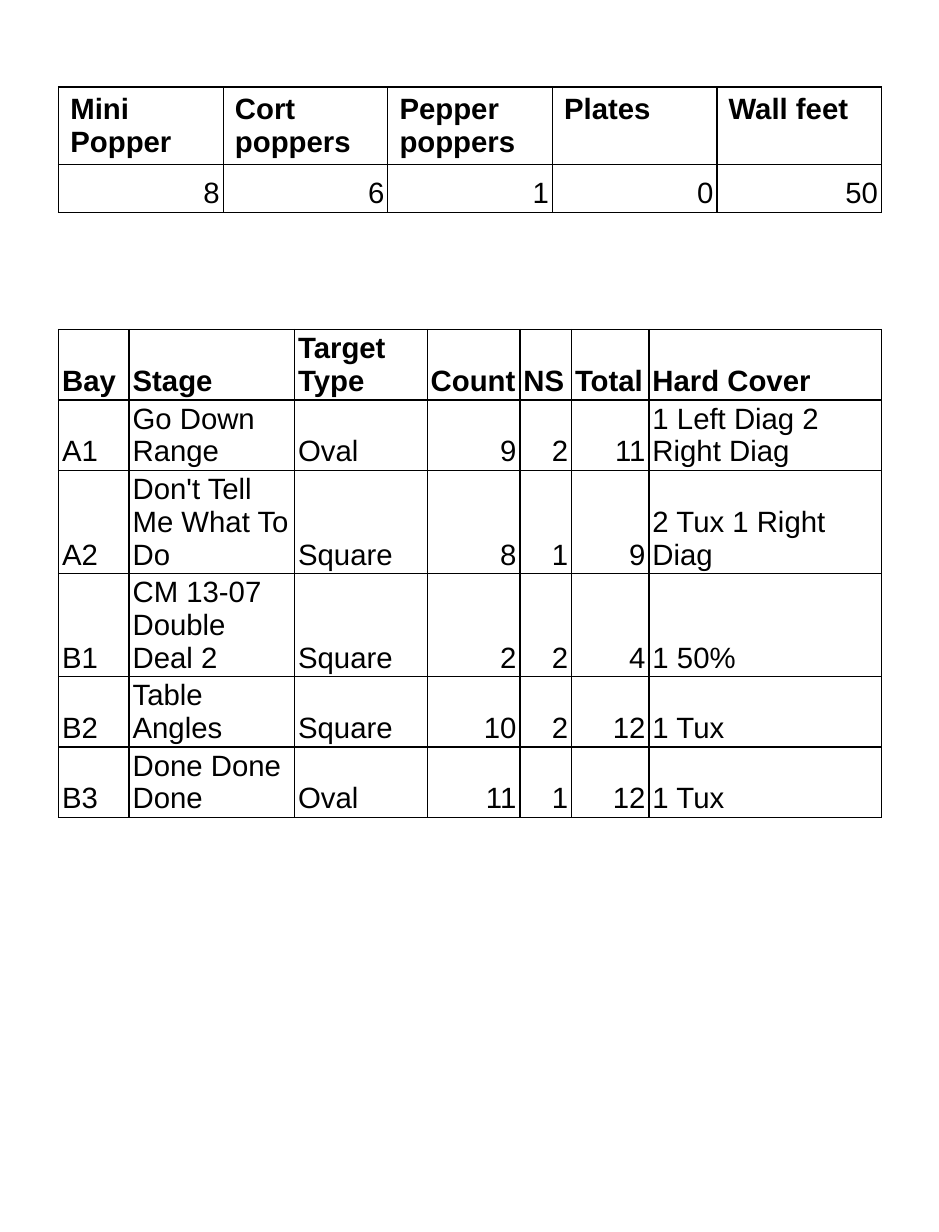
import pptx
import pptx.dml.color
import pptx.enum.text
import pptx.oxml
import pptx.oxml.ns
import pptx.util

COLORS = {"ink": "000000", "paper": "FFFFFF"}
ANCHOR = pptx.enum.text.MSO_ANCHOR
ALIGN = pptx.enum.text.PP_ALIGN
TIGHT = {
    "vertical_anchor": ANCHOR.BOTTOM,
    "margin_left": pptx.util.Inches(0.03),
    "margin_right": pptx.util.Inches(0.03),
    "margin_top": pptx.util.Inches(0.02),
    "margin_bottom": pptx.util.Inches(0.02),
}
ROOMY = {"vertical_anchor": ANCHOR.TOP}


def set_all(obj, values):
    for name, value in values.items():
        setattr(obj, name, value)


class Sheet:
    columns, rows = 80, 105
    font = {"name": "Arial", "size": pptx.util.Pt(18)}

    def __init__(self, prs):
        self.prs = prs
        self.s = prs.slides.add_slide(prs.slide_layouts[6])

    def x(self, n):
        return round(self.prs.slide_width * n / self.columns)

    def y(self, n):
        return round(self.prs.slide_height * n / self.rows)

    def color(self, name):
        return pptx.dml.color.RGBColor.from_string(COLORS[name])

    def borders(self, cell):
        tcPr = cell._tc.get_or_add_tcPr()
        for i, side in enumerate(("lnL", "lnR", "lnT", "lnB")):
            ln = pptx.oxml.parse_xml(
                f'<a:{side} {pptx.oxml.ns.nsdecls("a")} w="12700"><a:solidFill>'
                f'<a:srgbClr val="{COLORS["ink"]}"/></a:solidFill></a:{side}>'
            )
            tcPr.insert(i, ln)

    def cell(self, cell, text, header, layout):
        set_all(cell, layout)
        cell.fill.solid()
        cell.fill.fore_color.rgb = self.color("paper")
        self.borders(cell)
        p = cell.text_frame.paragraphs[0]
        p.alignment = ALIGN.RIGHT if text.isdigit() else ALIGN.LEFT
        r = p.add_run()
        r.text = text
        set_all(r.font, {**self.font, "bold": header})
        r.font.color.rgb = self.color("ink")

    def table(self, left, top, height, widths, row_height, data, header_layout):
        sp = self.s.shapes.add_table(
            len(data), len(widths), self.x(left), self.y(top),
            self.x(sum(widths)), self.y(height),
        )
        tbl = sp.table
        set_all(tbl, {"first_row": False, "horz_banding": False})
        for col, width in zip(tbl.columns, widths):
            col.width = self.x(width)
        for i, (row, texts) in enumerate(zip(tbl.rows, data)):
            row.height = self.y(row_height)
            for cell, text in zip(row.cells, texts):
                self.cell(cell, text, i == 0, TIGHT if i else header_layout)
        sp.height = self.y(height)


def main():
    prs = pptx.Presentation()
    prs.slide_width = pptx.util.Inches(8)
    prs.slide_height = pptx.util.Inches(10.5)
    sheet = Sheet(prs)

    props = [
        ["Mini Popper", "Cort poppers", "Pepper poppers", "Plates", "Wall feet"],
        ["8", "6", "1", "0", "50"],
    ]
    stages = [
        ["Bay", "Stage", "Target Type", "Count", "NS", "Total", "Hard Cover"],
        ["A1", "Go Down Range", "Oval", "9", "2", "11", "1 Left Diag 2 Right Diag"],
        ["A2", "Don't Tell Me What To Do", "Square", "8", "1", "9", "2 Tux 1 Right Diag"],
        ["B1", "CM 13-07 Double Deal 2", "Square", "2", "2", "4", "1 50%"],
        ["B2", "Table Angles", "Square", "10", "2", "12", "1 Tux"],
        ["B3", "Done Done Done", "Oval", "11", "1", "12", "1 Tux"],
    ]
    sheet.table(5, 7.4, 11.1, [14.02] * 5, 4.1, props, ROOMY)
    sheet.table(5, 28.1, 44.5, [6, 14.1, 11.3, 7.9, 4.4, 6.6, 19.8], 5.2, stages, TIGHT)
    prs.save("out.pptx")


if __name__ == "__main__":
    main()
